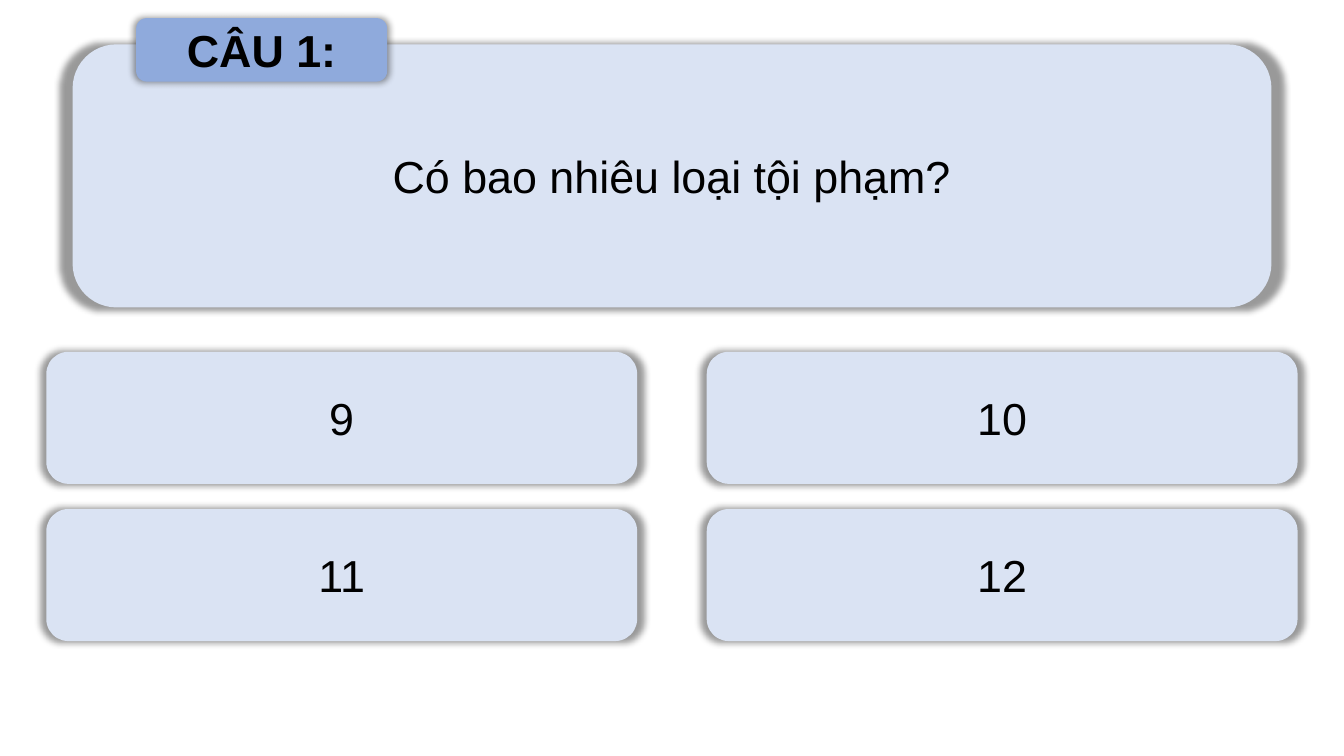
from lxml.etree import SubElement
from pptx import Presentation
from pptx.dml.color import RGBColor
from pptx.enum.shapes import MSO_SHAPE
from pptx.enum.text import MSO_ANCHOR, PP_ALIGN
from pptx.oxml.ns import qn
from pptx.util import Inches, Pt

COLORS = {"panel": "DAE3F3", "label": "8FAADC", "text": "000000", "shadow": "000000"}
LABEL = "CÂU 1:"
QUESTION = "Có bao nhiêu loại tội phạm?"
ANSWERS = [["9", "10"], ["11", "12"]]

LEFT, TOP = 0.46, 3.49
WIDTH, HEIGHT = 5.86, 1.31
STEP_X, STEP_Y = 6.55, 1.56


def add_glow(shape):
    """Give the shape a soft centred shadow, slightly larger than itself."""
    shape.shadow.inherit = False
    effects = shape._element.spPr.find(qn("a:effectLst"))
    outer = SubElement(effects, qn("a:outerShdw"), blurRad=str(Pt(5)),
                       sx="102000", sy="102000", algn="ctr", rotWithShape="0")
    color = SubElement(outer, qn("a:srgbClr"), val=COLORS["shadow"])
    SubElement(color, qn("a:alpha"), val="40000")


def add_card(slide, text, box, fill="panel", bold=False):
    card = slide.shapes.add_shape(MSO_SHAPE.ROUNDED_RECTANGLE, *map(Inches, box))
    card.fill.solid()
    card.fill.fore_color.rgb = RGBColor.from_string(COLORS[fill])
    card.line.fill.background()
    add_glow(card)
    frame = card.text_frame
    frame.word_wrap = True
    frame.vertical_anchor = MSO_ANCHOR.MIDDLE
    line = frame.paragraphs[0]
    line.alignment = PP_ALIGN.CENTER
    run = line.add_run()
    run.text = text
    run.font.name = "Arial"
    run.font.size = Pt(32)
    run.font.bold = bold
    run.font.color.rgb = RGBColor.from_string(COLORS["text"])


def main():
    deck = Presentation()
    deck.slide_width, deck.slide_height = Inches(13.33), Inches(7.5)
    slide = deck.slides.add_slide(deck.slide_layouts[6])
    add_card(slide, QUESTION, (0.72, 0.44, 11.89, 2.61))
    for row, answers in enumerate(ANSWERS):
        for col, answer in enumerate(answers):
            add_card(slide, answer,
                     (LEFT + col * STEP_X, TOP + row * STEP_Y, WIDTH, HEIGHT))
    add_card(slide, LABEL, (1.35, 0.18, 2.49, 0.63), "label", bold=True)
    deck.save("out.pptx")


if __name__ == "__main__":
    main()
